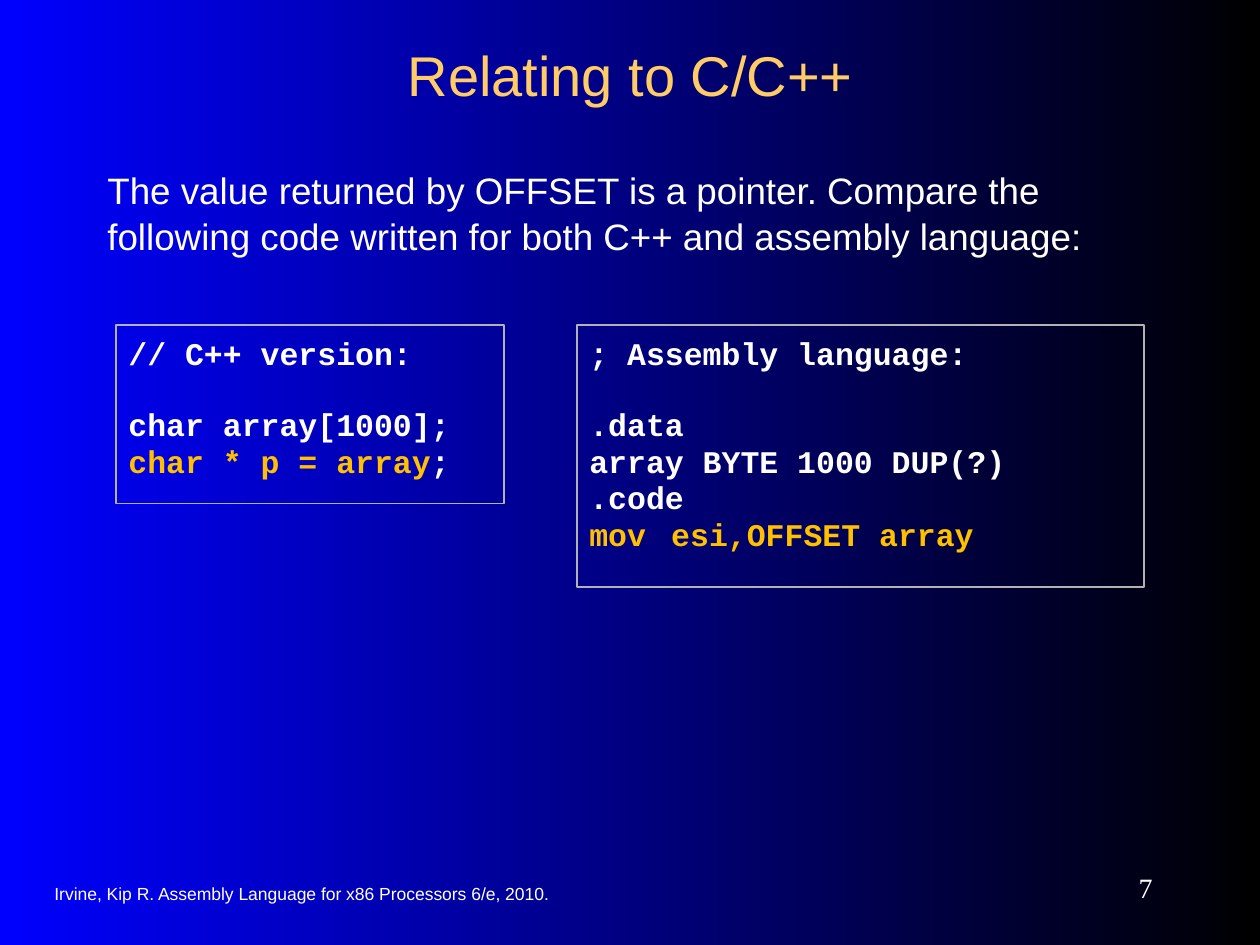
from pptx import Presentation
from pptx.dml.color import RGBColor
from pptx.enum.shapes import MSO_SHAPE
from pptx.enum.text import MSO_ANCHOR, PP_ALIGN
from pptx.oxml.ns import qn
from pptx.util import Emu, Pt
from lxml import etree

EMU_PER_PX = 914400 // 126
RECTANGLE = MSO_SHAPE.RECTANGLE
TOP, MIDDLE = MSO_ANCHOR.TOP, MSO_ANCHOR.MIDDLE
LEFT, CENTER, RIGHT = PP_ALIGN.LEFT, PP_ALIGN.CENTER, PP_ALIGN.RIGHT

WHITE = RGBColor(0xFF, 0xFF, 0xFF)
BLUE = RGBColor(0x00, 0x00, 0xFF)
BLACK = RGBColor(0x00, 0x00, 0x00)
GRAY = RGBColor(0xB2, 0xB2, 0xB2)
GOLD = RGBColor(0xFF, 0xCC, 0x66)
AMBER = RGBColor(0xFF, 0xC0, 0x00)

CODE_TOP = 325
CODE_INSET = 11
CODE_LINE = Pt(19.8)
TAB_STOP = 63

CPP_CODE = [
    [("// C++ version:", WHITE)],
    [],
    [("char array[1000];", WHITE)],
    [("char * p = array", AMBER), (";", WHITE)],
]
ASSEMBLY_CODE = [
    [("; Assembly language:", WHITE)],
    [],
    [(".data", WHITE)],
    [("array BYTE 1000 DUP(?)", WHITE)],
    [(".code", WHITE)],
    [("mov\t esi,OFFSET array", AMBER)],
]


def px(length):
    return Emu(length * EMU_PER_PX)


def style_font(font, name, size, color, bold=False):
    font.name, font.size, font.bold = name, Pt(size), bold
    font.color.rgb = color


def paint_background(slide):
    fill = slide.background.fill
    fill.gradient()
    fill.gradient_angle = 0
    for stop, (position, color) in zip(fill.gradient_stops, [(0, BLUE), (1, BLACK)]):
        stop.position = position
        stop.color.rgb = color


def fill_text(box, text, font_name, size, color, align, anchor, inset=6):
    frame = box.text_frame
    frame.word_wrap = True
    frame.vertical_anchor = anchor
    frame.margin_top = frame.margin_bottom = px(inset)
    frame.text = text
    paragraph = frame.paragraphs[0]
    paragraph.alignment = align
    style_font(paragraph.runs[0].font, font_name, size, color)
    return paragraph


def add_title(slide, text):
    title = slide.shapes.title
    title.left, title.top, title.width, title.height = map(px, (95, 32, 1071, 84))
    fill_text(title, text, "Arial", 32, GOLD, CENTER, MIDDLE)


def add_label(slide, bounds, *text_style, **options):
    label = slide.shapes.add_textbox(*map(px, bounds))
    return fill_text(label, *text_style, **options)


def add_tab_stop(paragraph):
    properties = paragraph._p.get_or_add_pPr()
    tabs = etree.SubElement(properties, qn("a:tabLst"))
    etree.SubElement(tabs, qn("a:tab"), pos=str(px(TAB_STOP)), algn="l")


def add_code_box(slide, left, width, height, lines):
    box = slide.shapes.add_shape(RECTANGLE, *map(px, (left, CODE_TOP, width, height)))
    box.shadow.inherit = False
    box.fill.background()
    box.line.color.rgb = GRAY
    box.line.width = Pt(0.75)
    frame = box.text_frame
    frame.word_wrap = True
    frame.vertical_anchor = TOP
    frame.margin_top = px(CODE_INSET)
    gap = Pt(0)
    for index, line in enumerate(lines):
        if not line:
            gap = CODE_LINE
            continue
        paragraph = frame.add_paragraph() if index else frame.paragraphs[0]
        add_tab_stop(paragraph)
        paragraph.alignment = LEFT
        paragraph.line_spacing = 0.97
        paragraph.space_before = gap
        gap = Pt(0)
        for text, color in line:
            run = paragraph.add_run()
            run.text = text
            style_font(run.font, "Courier New", 18, color, bold=True)


def main():
    presentation = Presentation()
    presentation.slide_width, presentation.slide_height = px(1260), px(945)
    slide = presentation.slides.add_slide(presentation.slide_layouts[5])
    paint_background(slide)
    add_title(slide, "Relating to C/C++")
    intro = add_label(
        slide, (95, 147, 1061, 126),
        "The value returned by OFFSET is a pointer. Compare the following code "
        "written for both C++ and assembly language:",
        "Arial", 21, WHITE, LEFT, TOP, inset=19)
    intro.line_spacing = 1.04
    add_code_box(slide, 116, 388, 179, CPP_CODE)
    add_code_box(slide, 577, 567, 262, ASSEMBLY_CODE)
    add_label(slide, (42, 873, 662, 42),
              "Irvine, Kip R. Assembly Language for x86 Processors 6/e, 2010.",
              "Arial", 10, WHITE, LEFT, MIDDLE)
    add_label(slide, (1029, 861, 136, 53), "7",
              "Times New Roman", 16, WHITE, RIGHT, MIDDLE)
    presentation.save("out.pptx")


if __name__ == "__main__":
    main()
